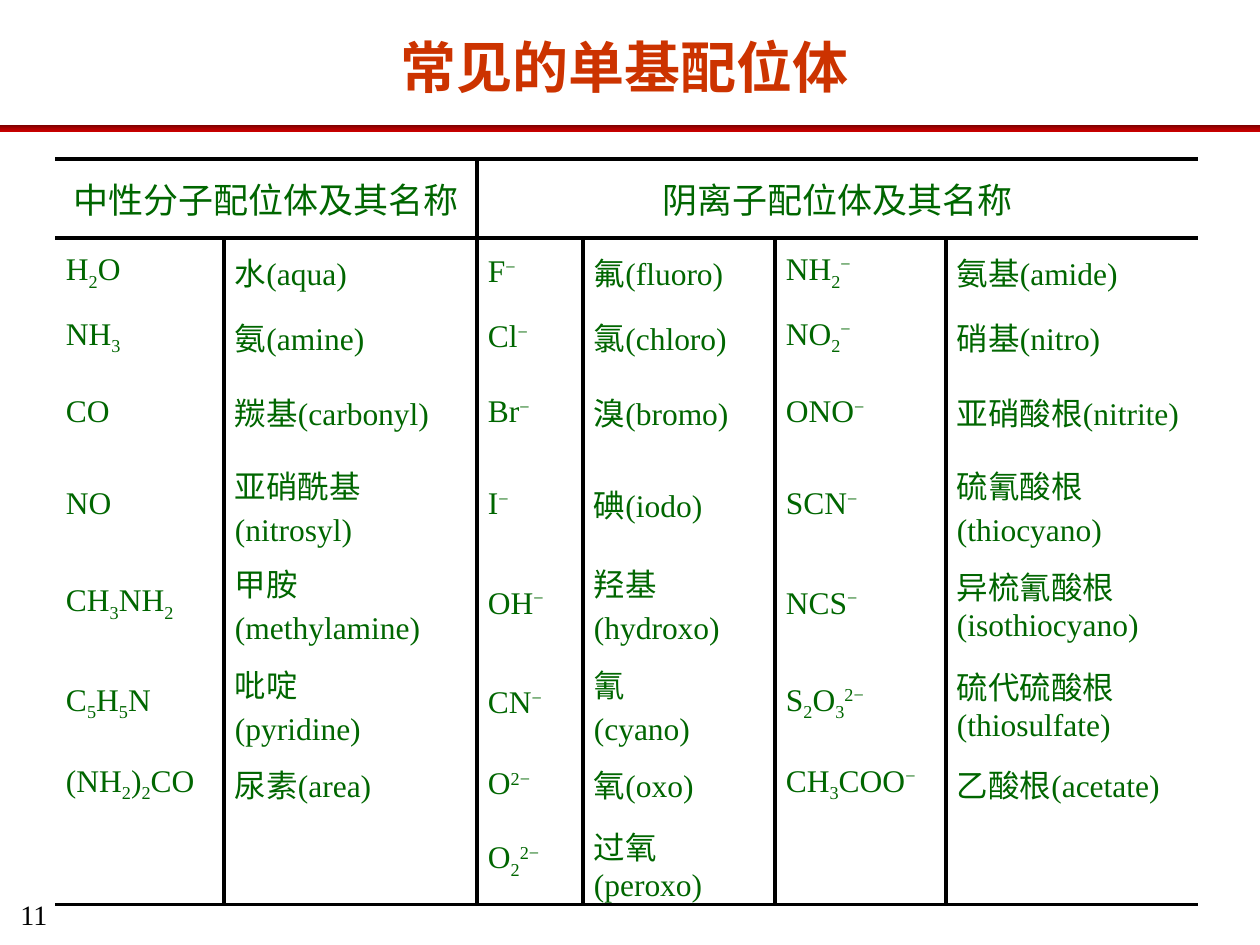
"""Build a slide with a table of common monodentate ligands and their names."""
import copy

import lxml.etree
import pptx
import pptx.dml.color
import pptx.enum.shapes
import pptx.enum.text
import pptx.oxml.ns
import pptx.util

PX = 914400 / 126
GREEN = "006600"
CENTER = pptx.enum.text.PP_ALIGN.CENTER
BASELINES = {"_": "-25000", "^": "30000"}
qn = pptx.oxml.ns.qn


def color(hex_text):
    """Turn a hex string into a colour."""
    return pptx.dml.color.RGBColor.from_string(hex_text)


def write(frame, text, size=18, fill=GREEN, bold=False, align=None):
    """Write lines whose runs are split by |, with _ for subscript and ^ for superscript."""
    for index, line in enumerate(text.split("\n")):
        paragraph = frame.add_paragraph() if index else frame.paragraphs[0]
        paragraph.alignment = align
        if index:
            paragraph.space_before = pptx.util.Pt(size * 0.2)
        for part in line.split("|"):
            run = paragraph.add_run()
            run.text = part.lstrip("_^")
            run.font.name = "Times New Roman"
            run.font.size = pptx.util.Pt(size)
            run.font.bold = bold
            run.font.color.rgb = color(fill)
            if part[:1] in BASELINES:
                run.font._element.set("baseline", BASELINES[part[0]])


presentation = pptx.Presentation()
presentation.slide_width = round(1260 * PX)
presentation.slide_height = round(945 * PX)
slide = presentation.slides.add_slide(presentation.slide_layouts[6])

labels = [
    ((8, 891, 64, 47), "11", {"size": 16, "fill": "000000"}),
    ((362, 26, 525, 79), "常见的单基配位体",
     {"size": 32, "fill": "CC3300", "bold": True, "align": CENTER}),
]
for box, text, style in labels:
    label = slide.shapes.add_textbox(*(round(value * PX) for value in box))
    label.text_frame.word_wrap = True
    write(label.text_frame, text, **style)

column_widths = [169, 253, 106, 192, 171, 252]
row_heights = [79, 68, 62, 88, 96, 103, 96, 66, 76]
rows = [
    ["中性分子配位体及其名称", "", "阴离子配位体及其名称", "", "", ""],
    ["H|_2|O", "水(aqua)", "F|^−", "氟(fluoro)", "NH|_2|^−", "氨基(amide)"],
    ["NH|_3", "氨(amine)", "Cl|^−", "氯(chloro)", "NO|_2|^−", "硝基(nitro)"],
    ["CO", "羰基(carbonyl)", "Br|^−", "溴(bromo)", "ONO|^−", "亚硝酸根(nitrite)"],
    ["NO", "亚硝酰基\n(nitrosyl)", "I|^−", "碘(iodo)", "SCN|^−", "硫氰酸根\n(thiocyano)"],
    ["CH|_3|NH|_2", "甲胺\n(methylamine)", "OH|^−", "羟基\n(hydroxo)", "NCS|^−",
     "异梳氰酸根(isothiocyano)"],
    ["C|_5|H|_5|N", "吡啶\n(pyridine)", "CN|^−", "氰\n(cyano)", "S|_2|O|_3|^2−",
     "硫代硫酸根(thiosulfate)"],
    ["(NH|_2|)|_2|CO", "尿素(area)", "O|^2−", "氧(oxo)", "CH|_3|COO|^−", "乙酸根(acetate)"],
    ["", "", "O|_2|^2−", "过氧(peroxo)", "", ""],
]
table = slide.shapes.add_table(
    len(rows), len(column_widths), round(55 * PX), round(159 * PX),
    round(sum(column_widths) * PX), round(sum(row_heights) * PX)).table
table.first_row = False
table.horz_banding = False
for column, width in zip(table.columns, column_widths):
    column.width = round(width * PX)
for row, height in zip(table.rows, row_heights):
    row.height = round(height * PX)
table.cell(0, 0).merge(table.cell(0, 1))
table.cell(0, 2).merge(table.cell(0, 5))

for row_index, texts in enumerate(rows):
    header = row_index == 0
    for column_index, text in enumerate(texts):
        cell = table.cell(row_index, column_index)
        cell.vertical_anchor = pptx.enum.text.MSO_ANCHOR.MIDDLE
        cell.margin_left = cell.margin_right = round(11 * PX)
        cell.margin_top = cell.margin_bottom = round(6 * PX)
        if text:
            write(cell.text_frame, text, size=20 if header else 18,
                  align=CENTER if header else None)
        borders = {
            "a:lnL": column_index == 2 if header else column_index > 0,
            "a:lnR": column_index < 2 if header else column_index < 5,
            "a:lnT": row_index < 2,
            "a:lnB": row_index in (0, len(rows) - 1),
        }
        properties = cell._tc.get_or_add_tcPr()
        for tag, drawn in borders.items():
            line = lxml.etree.SubElement(properties, qn(tag), w=str(pptx.util.Pt(2.25)))
            if drawn:
                solid = lxml.etree.SubElement(line, qn("a:solidFill"))
                lxml.etree.SubElement(solid, qn("a:srgbClr"), val="000000")
            else:
                lxml.etree.SubElement(line, qn("a:noFill"))
        cell.fill.background()

rule = slide.shapes.add_shape(
    pptx.enum.shapes.MSO_SHAPE.RECTANGLE, 0, round(125 * PX), round(1260 * PX), round(7 * PX))
rule.shadow.inherit = False
rule.line.fill.background()
rule.fill.gradient()
rule.fill.gradient_angle = 270
stop_list = rule._element.spPr.find(".//" + qn("a:gsLst"))
stop_list.append(copy.deepcopy(stop_list[-1]))
shades = [(0, "790000"), (0.5, "AC0000"), (1, "CC0000")]
for stop, (position, shade) in zip(rule.fill.gradient_stops, shades):
    stop.position = position
    stop.color.rgb = color(shade)

presentation.save("out.pptx")
